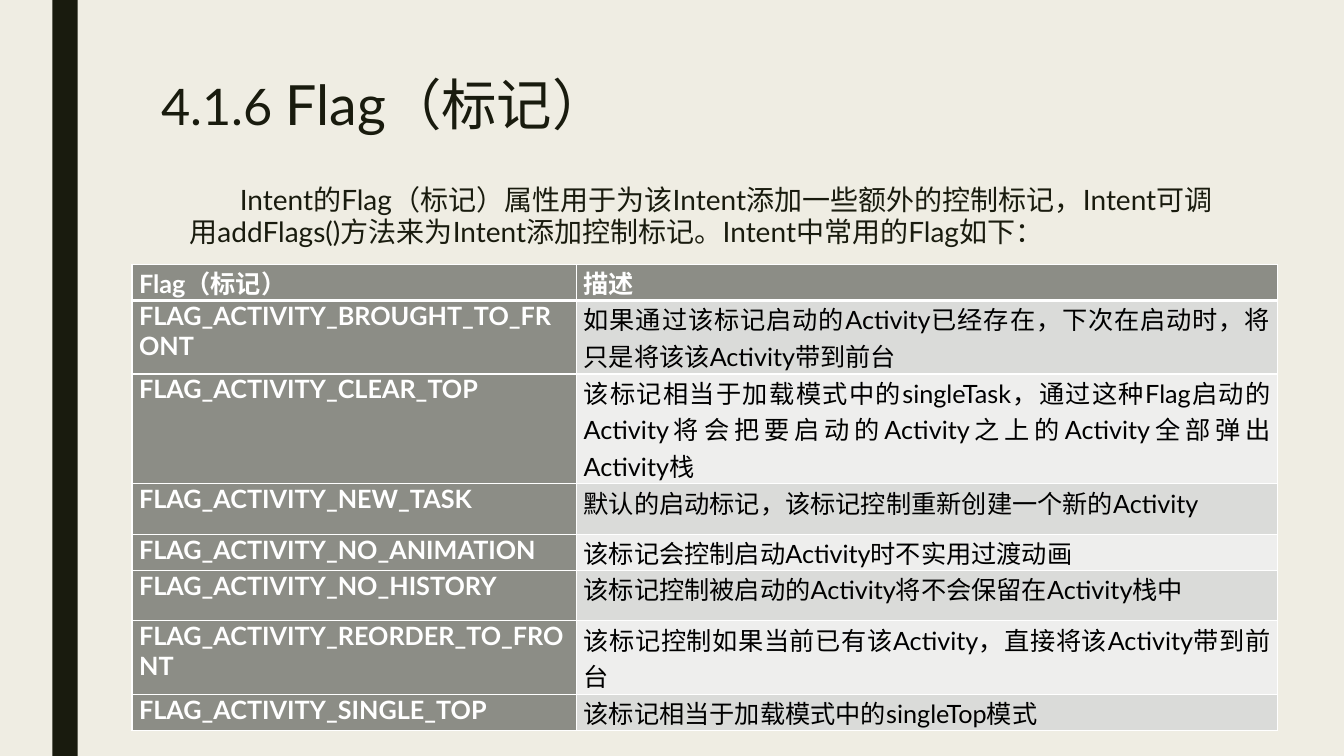
from dataclasses import dataclass

from lxml.etree import SubElement
from pptx import Presentation
from pptx.dml.color import RGBColor
from pptx.enum.shapes import MSO_SHAPE
from pptx.enum.text import MSO_ANCHOR, MSO_AUTO_SIZE, PP_ALIGN
from pptx.oxml.ns import qn
from pptx.util import Inches, Pt

TITLE = (("4.1.6 ", 36), ("Flag（标记）", 39.6))
INTRO = ("Intent的Flag（标记）属性用于为该Intent添加一些额外的控制标记，"
         "Intent可调用addFlags()方法来为Intent添加控制标记。Intent中常用的Flag如下：")
FLAGS = [
    ("Flag（标记）", "描述", 0.36),
    ("FLAG_ACTIVITY_BROUGHT_TO_FRONT",
     "如果通过该标记启动的Activity已经存在，下次在启动时，将只是将该该Activity带到前台", 0.73),
    ("FLAG_ACTIVITY_CLEAR_TOP",
     "该标记相当于加载模式中的singleTask，通过这种Flag启动的Activity将会把要启动的"
     "Activity之上的Activity全部弹出Activity栈", 1.09),
    ("FLAG_ACTIVITY_NEW_TASK", "默认的启动标记，该标记控制重新创建一个新的Activity", 0.5),
    ("FLAG_ACTIVITY_NO_ANIMATION", "该标记会控制启动Activity时不实用过渡动画", 0.36),
    ("FLAG_ACTIVITY_NO_HISTORY", "该标记控制被启动的Activity将不会保留在Activity栈中", 0.5),
    ("FLAG_ACTIVITY_REORDER_TO_FRONT",
     "该标记控制如果当前已有该Activity，直接将该Activity带到前台", 0.73),
    ("FLAG_ACTIVITY_SINGLE_TOP", "该标记相当于加载模式中的singleTop模式", 0.36),
]
COLUMNS = (4.41, 6.95)


@dataclass(frozen=True)
class Theme:
    font: str = "Lato"
    background: str = "EFEDE3"
    ink: str = "191B0E"
    header: str = "8C8D86"
    bands: tuple = ("EEEEED", "DADBD9")
    white: str = "FFFFFF"
    black: str = "000000"
    intro_size: float = 20
    cell_size: float = 18


theme = Theme()


def paint(fill, color):
    fill.solid()
    fill.fore_color.rgb = RGBColor.from_string(color)


def style(r, size, color, bold=False):
    r.font.name = theme.font
    r.font.size = Pt(size)
    r.font.bold = bold
    r.font.color.rgb = RGBColor.from_string(color)


def place(sp, left, top, width, height):
    sp.left, sp.top, sp.width, sp.height = map(Inches, (left, top, width, height))


def set_border(cell, side, width):
    ln = SubElement(cell._tc.get_or_add_tcPr(), qn(f"a:ln{side}"), w=str(Pt(width)))
    SubElement(SubElement(ln, qn("a:solidFill")), qn("a:srgbClr"), val=theme.white)


def fill_cell(cell, text, row, col):
    heading = row == 0 or col == 0
    for side in "LRTB":
        thick = (row, side) in ((0, "B"), (1, "T"))
        set_border(cell, side, 3 if thick else 1)
    paint(cell.fill, theme.header if heading else theme.bands[row % 2])
    cell.margin_left = cell.margin_right = Inches(0.07)
    cell.margin_top = cell.margin_bottom = 0
    cell.text = text
    p = cell.text_frame.paragraphs[0]
    p.alignment = PP_ALIGN.JUSTIFY
    style(p.runs[0], theme.cell_size, theme.white if heading else theme.black, heading)


def add_title(s):
    sp = s.shapes.title
    place(sp, 1.5, 0.75, 10.5, 1.04)
    tf = sp.text_frame
    tf.vertical_anchor = MSO_ANCHOR.TOP
    tf.auto_size = MSO_AUTO_SIZE.NONE
    p = tf.paragraphs[0]
    p.alignment = PP_ALIGN.LEFT
    p.line_spacing = 0.85
    for text, size in TITLE:
        r = p.add_run()
        r.text = text
        style(r, size, theme.ink)


def add_intro(s):
    sp = s.shapes.add_textbox(0, 0, 0, 0)
    place(sp, 1.78, 1.79, 10.5, 0.83)
    tf = sp.text_frame
    tf.word_wrap = True
    tf.margin_right = Inches(0.2)
    tf.text = INTRO
    p = tf.paragraphs[0]
    p.line_spacing = 0.94
    p._p.get_or_add_pPr().set("indent", str(Inches(0.5)))
    style(p.runs[0], theme.intro_size, theme.ink)


def add_flags(s):
    heights = [row[-1] for row in FLAGS]
    frame = s.shapes.add_table(len(FLAGS), len(COLUMNS), Inches(1.31), Inches(2.62),
                               Inches(sum(COLUMNS)), Inches(sum(heights)))
    table = frame.table
    for column, width in zip(table.columns, COLUMNS):
        column.width = Inches(width)
    for i, (*texts, height) in enumerate(FLAGS):
        table.rows[i].height = Inches(height)
        for j, text in enumerate(texts):
            fill_cell(table.cell(i, j), text, i, j)


def main():
    prs = Presentation()
    prs.slide_width, prs.slide_height = Inches(13.33), Inches(7.5)
    s = prs.slides.add_slide(prs.slide_layouts[5])
    paint(s.background.fill, theme.background)
    bar = s.shapes.add_shape(MSO_SHAPE.RECTANGLE, Inches(0.52), 0, Inches(0.25), prs.slide_height)
    bar.shadow.inherit = False
    paint(bar.fill, theme.ink)
    bar.line.fill.background()
    add_title(s)
    add_intro(s)
    add_flags(s)
    prs.save("out.pptx")


if __name__ == "__main__":
    main()
